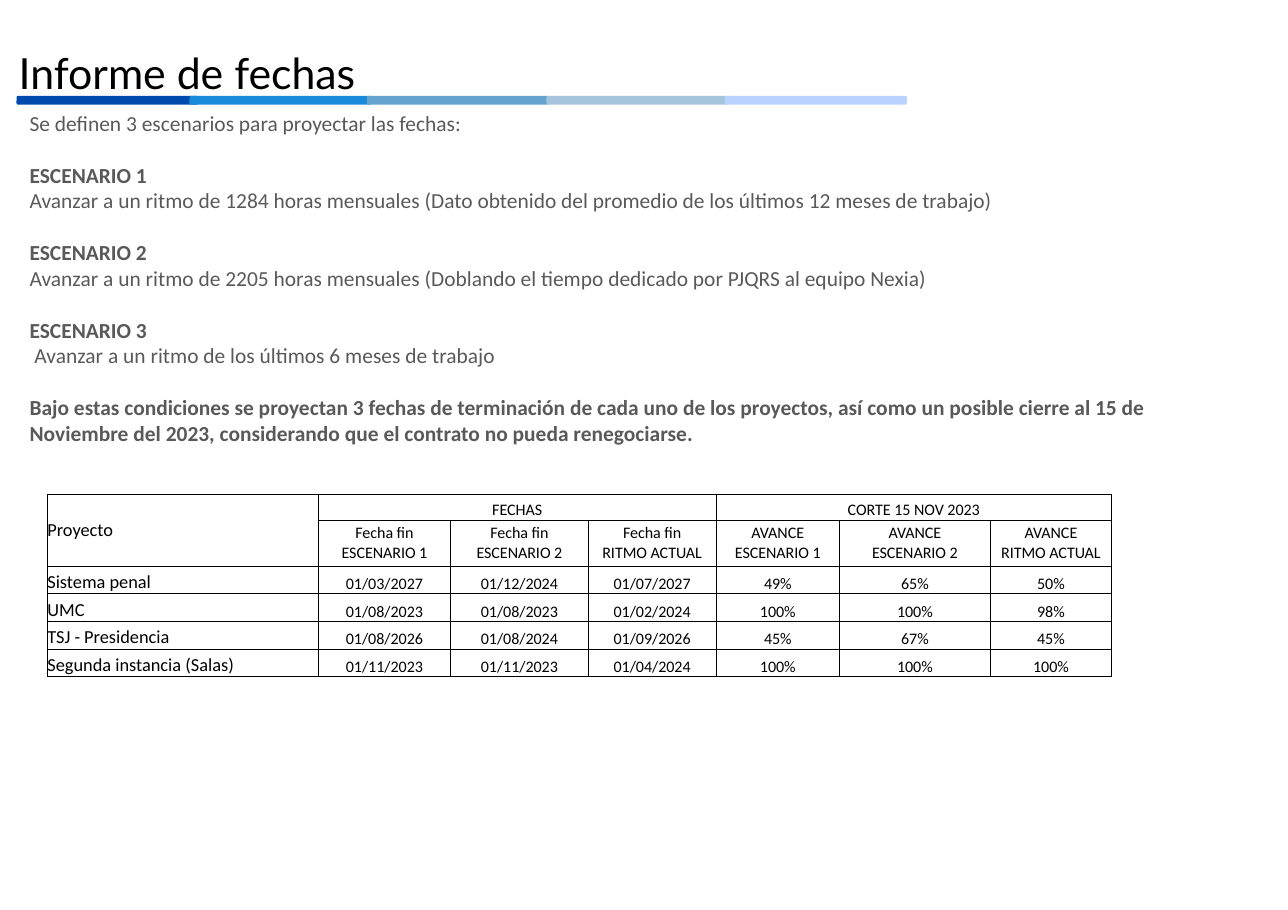
from lxml import etree
from pptx import Presentation
from pptx.dml.color import RGBColor as RGB
from pptx.enum.shapes import MSO_SHAPE as Shape
from pptx.enum.text import MSO_ANCHOR as Anchor, PP_ALIGN as Align
from pptx.oxml.ns import qn
from pptx.util import Inches, Pt

COLORS = {"black": "000000", "gray": "595959", "white": "FFFFFF"}


def style(para, size, color, name="Calibri", bold=False):
    font = para.font
    font.name, font.size, font.bold = name, Pt(size), bold
    font.color.rgb = RGB.from_string(COLORS[color])


def border(cell):
    """Draw a thin black line on all four sides of a cell."""
    props = cell._tc.get_or_add_tcPr()
    for side in ("a:lnL", "a:lnR", "a:lnT", "a:lnB"):
        line = etree.SubElement(props, qn(side), w=str(Pt(0.5)))
        fill = etree.SubElement(line, qn("a:solidFill"))
        etree.SubElement(fill, qn("a:srgbClr"), val=COLORS["black"])


prs = Presentation()
prs.slide_width, prs.slide_height = Inches(11.69), Inches(8.26)
slide = prs.slides.add_slide(prs.slide_layouts[6])
shapes = slide.shapes

# Title
title = shapes.add_textbox(Inches(0.17), 0, Inches(11.59), Inches(0.76)).text_frame
title.word_wrap = True
title.margin_left = title.margin_right = title.margin_top = title.margin_bottom = 0
para = title.paragraphs[0]
para.text = "Informe de fechas"
para.line_spacing = Pt(63.8)
style(para, 28, "black", "Lato")

# Colour band under the title
band = [(0.15, "004AAD"), (1.72, "198BDA"), (3.33, "65A4CF"),
        (4.96, "A5C5DD"), (6.58, "B8D3FF")]
for left, color in band:
    bar = shapes.add_shape(Shape.ROUNDED_RECTANGLE, Inches(left), Inches(0.87),
                           Inches(1.65), Inches(0.08))
    bar.shadow.inherit = False
    bar.fill.solid()
    bar.fill.fore_color.rgb = RGB.from_string(color)
    bar.line.fill.background()

# Scenarios: bold paragraphs open a new block
notes = [
    ("Se definen 3 escenarios para proyectar las fechas:", False),
    ("ESCENARIO 1", True),
    ("Avanzar a un ritmo de 1284 horas mensuales (Dato obtenido del promedio "
     "de los últimos 12 meses de trabajo)", False),
    ("ESCENARIO 2", True),
    ("Avanzar a un ritmo de 2205 horas mensuales (Doblando el tiempo dedicado "
     "por PJQRS al equipo Nexia)", False),
    ("ESCENARIO 3", True),
    (" Avanzar a un ritmo de los últimos 6 meses de trabajo", False),
    ("Bajo estas condiciones se proyectan 3 fechas de terminación de cada uno "
     "de los proyectos, así como un posible cierre al 15 de Noviembre del 2023, "
     "considerando que el contrato no pueda renegociarse.", True),
]
body = shapes.add_textbox(Inches(0.17), Inches(0.95), Inches(10.74), Inches(3.47)).text_frame
body.word_wrap = True
for i, (text, bold) in enumerate(notes):
    para = body.add_paragraph() if i else body.paragraphs[0]
    para.text = text
    para.space_before = Pt(17 if bold else 0)
    style(para, 14, "gray", bold=bold)

# Table of dates and progress
widths = [2.46, 1.2, 1.25, 1.16, 1.12, 1.37, 1.1]
heights = [0.23, 0.42] + [0.25] * 4
rows = [
    ["Proyecto", "FECHAS", "", "", "CORTE 15 NOV 2023", "", ""],
    ["", "Fecha fin\nESCENARIO 1", "Fecha fin\nESCENARIO 2", "Fecha fin\nRITMO ACTUAL",
     "AVANCE\nESCENARIO 1", "AVANCE\nESCENARIO 2", "AVANCE\nRITMO ACTUAL"],
    ["Sistema penal", "01/03/2027", "01/12/2024", "01/07/2027", "49%", "65%", "50%"],
    ["UMC", "01/08/2023", "01/08/2023", "01/02/2024", "100%", "100%", "98%"],
    ["TSJ - Presidencia", "01/08/2026", "01/08/2024", "01/09/2026", "45%", "67%", "45%"],
    ["Segunda instancia (Salas)", "01/11/2023", "01/11/2023", "01/04/2024",
     "100%", "100%", "100%"],
]
table = shapes.add_table(len(rows), len(widths), Inches(0.43), Inches(4.49),
                         Inches(sum(widths)), Inches(sum(heights))).table
table.first_row = table.horz_banding = False
for col, width in zip(table.columns, widths):
    col.width = Inches(width)
for row, height in zip(table.rows, heights):
    row.height = Inches(height)

for r, row in enumerate(rows):
    for c, text in enumerate(row):
        cell = table.cell(r, c)
        border(cell)
        cell.fill.solid()
        cell.fill.fore_color.rgb = RGB.from_string(COLORS["white"])
        cell.margin_left = cell.margin_right = cell.margin_top = cell.margin_bottom = 0
        middle = r == 1 or (r == 0 and c == 0)
        cell.vertical_anchor = Anchor.MIDDLE if middle else Anchor.BOTTOM
        cell.text = text
        for para in cell.text_frame.paragraphs:
            para.alignment = Align.CENTER if c else Align.LEFT
            style(para, 10.5 if c else 12, "black")

for top, left, bottom, right in [(0, 0, 1, 0), (0, 1, 0, 3), (0, 4, 0, 6)]:
    table.cell(top, left).merge(table.cell(bottom, right))

prs.save("out.pptx")
